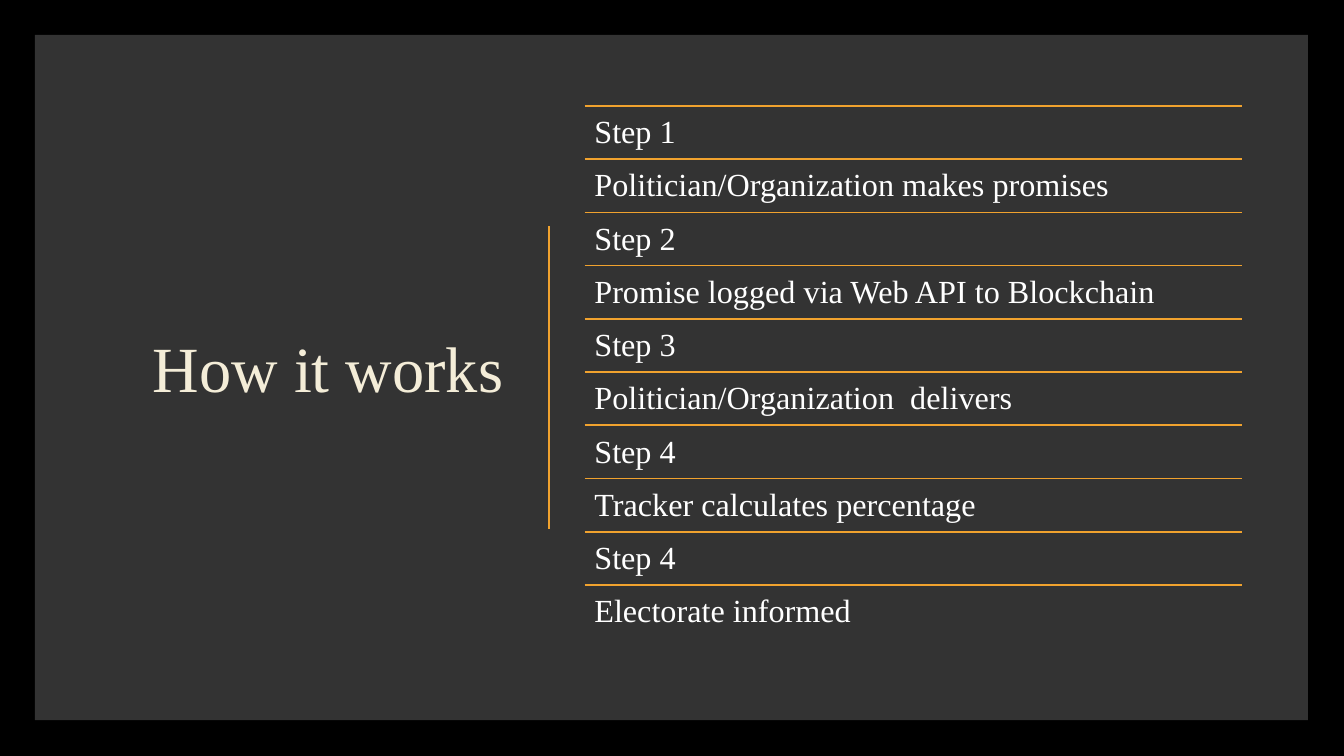
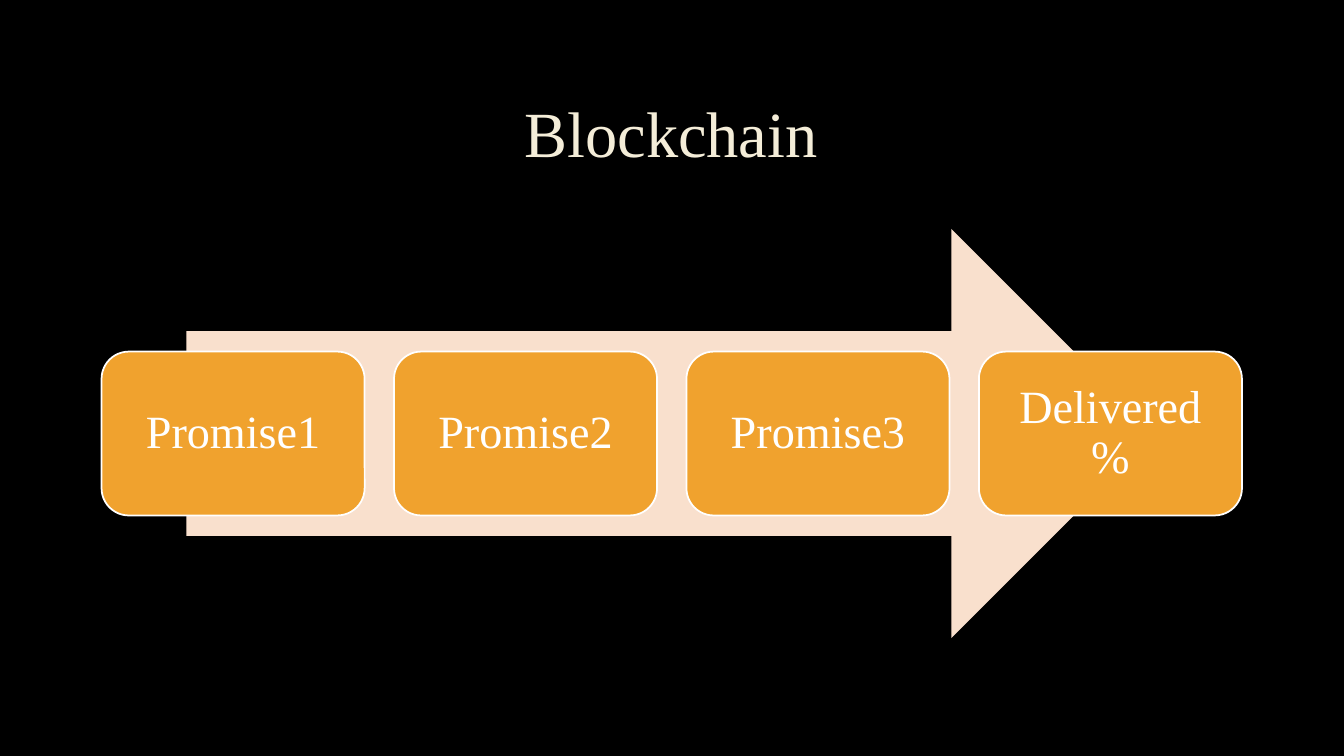
from dataclasses import dataclass

from lxml import etree
from pptx import Presentation
from pptx import util as u
from pptx.dml.color import RGBColor
from pptx.enum import shapes, text
from pptx.oxml import ns


@dataclass(frozen=True)
class Theme:
    font: str = "Times New Roman"
    background: str = "000000"
    panel: str = "404040"
    panel_opacity: int = 80
    title: str = "F4EDD8"
    body: str = "FFFFFF"
    accent: str = "F0A22E"
    pale: str = "F9E0CD"
    title_size: int = 46
    step_size: int = 23
    block_size: int = 33
    divider_width: float = 1.5
    rule_width: float = 1.25


def add_xml(parent, tag, **attributes):
    return etree.SubElement(parent, ns.qn(tag), attributes)


class Deck:
    """Holds the style and the slide being built."""

    def __init__(self, theme):
        self.theme = theme
        self.presentation = Presentation()
        self.presentation.slide_width = u.Cm(33.87)
        self.presentation.slide_height = u.Cm(19.05)
        self.paint(self.presentation.slide_master.background.fill, theme.background)
        self.slide = None

    def new_slide(self):
        blank = self.presentation.slide_layouts[6]
        self.slide = self.presentation.slides.add_slide(blank)

    @staticmethod
    def paint(fill, color):
        fill.solid()
        fill.fore_color.rgb = RGBColor.from_string(color)

    def set_text(self, shape, wording, size, color, margin=0.25,
                 align=text.PP_ALIGN.LEFT, anchor=text.MSO_ANCHOR.MIDDLE):
        frame = shape.text_frame
        frame_format = {"word_wrap": True, "vertical_anchor": anchor}
        for side in ("left", "top", "right", "bottom"):
            frame_format[f"margin_{side}"] = u.Cm(margin)
        paragraph = frame.paragraphs[0]
        run = paragraph.add_run()
        run.text = wording
        formats = (
            (frame, frame_format),
            (paragraph, {"alignment": align, "line_spacing": 0.9}),
            (run.font, {"name": self.theme.font, "size": u.Pt(size)}),
        )
        for target, values in formats:
            for name, value in values.items():
                setattr(target, name, value)
        self.paint(run.font.fill, color)
        return run

    def text_box(self, box, wording, size, color, **layout):
        shape = self.slide.shapes.add_textbox(*map(u.Cm, box))
        return self.set_text(shape, wording, size, color, **layout)

    def title(self, box, wording, align):
        run = self.text_box(box, wording, self.theme.title_size,
                            self.theme.title, align=align)
        # Soft text shadow, placed right after the text fill
        effects = etree.Element(ns.qn("a:effectLst"))
        shadow = add_xml(effects, "a:outerShdw", blurRad="38100", dist="25400",
                         dir="2700000", algn="tl", rotWithShape="0")
        color = add_xml(shadow, "a:srgbClr", val=self.theme.background)
        add_xml(color, "a:alpha", val="60000")
        run.font._element.find(ns.qn("a:solidFill")).addnext(effects)

    def block(self, kind, box, fill, outline=None, opacity=100):
        shape = self.slide.shapes.add_shape(kind, *map(u.Cm, box))
        shape.shadow.inherit = False
        self.paint(shape.fill, fill)
        if opacity < 100:
            color = shape._element.spPr.find(".//" + ns.qn("a:srgbClr"))
            add_xml(color, "a:alpha", val=str(opacity * 1000))
        if outline:
            self.paint(shape.line.fill, outline)
            shape.line.width = u.Pt(self.theme.rule_width)
        else:
            shape.line.fill.background()
        return shape

    def rule(self, start, end, width):
        line = self.slide.shapes.add_connector(
            shapes.MSO_CONNECTOR.STRAIGHT, *map(u.Cm, start + end))
        self.paint(line.line.fill, self.theme.accent)
        line.line.width = u.Pt(width)
        add_xml(line._element.spPr, "a:effectLst")


def build_steps(deck):
    theme = deck.theme
    deck.new_slide()

    # Panel, title and divider
    deck.block(shapes.MSO_SHAPE.RECTANGLE, (0.88, 0.88, 32.08, 17.27),
               theme.panel, opacity=theme.panel_opacity)
    deck.title((2.54, 2.67, 10.39, 13.41), "How it works", text.PP_ALIGN.RIGHT)
    deck.rule((13.84, 5.7), (13.84, 13.34), theme.divider_width)

    # Ruled list of steps
    rows = (
        "Step 1", "Politician/Organization makes promises",
        "Step 2", "Promise logged via Web API to Blockchain",
        "Step 3", "Politician/Organization  delivers",
        "Step 4", "Tracker calculates percentage",
        "Step 4", "Electorate informed",
    )
    left, top, width, height = 14.73, 2.67, 16.58, 13.41
    pitch = height / len(rows)
    for index, wording in enumerate(rows):
        row_top = top + index * pitch
        deck.rule((left, row_top), (left + width, row_top), theme.rule_width)
        deck.text_box((left, row_top, width, pitch), wording, theme.step_size,
                      theme.body, anchor=text.MSO_ANCHOR.TOP)


def build_chain(deck):
    theme = deck.theme
    deck.new_slide()
    deck.title((2.54, 1.7, 28.75, 3.5), "Blockchain", text.PP_ALIGN.CENTER)

    # Arrow behind the chain
    deck.block(shapes.MSO_SHAPE.RIGHT_ARROW, (4.7, 5.77, 24.43, 10.31), theme.pale)

    # Evenly spaced blocks
    labels = ("Promise1", "Promise2", "Promise3", "Delivered%")
    left, width, gap = 2.56, 6.63, 0.74
    for index, label in enumerate(labels):
        box = (left + index * (width + gap), 8.86, width, 4.13)
        shape = deck.block(shapes.MSO_SHAPE.ROUNDED_RECTANGLE, box,
                           theme.accent, outline=theme.body)
        deck.set_text(shape, label, theme.block_size, theme.body, margin=0.36,
                      align=text.PP_ALIGN.CENTER)


def main():
    deck = Deck(Theme())
    build_steps(deck)
    build_chain(deck)
    deck.presentation.save("out.pptx")


if __name__ == "__main__":
    main()
